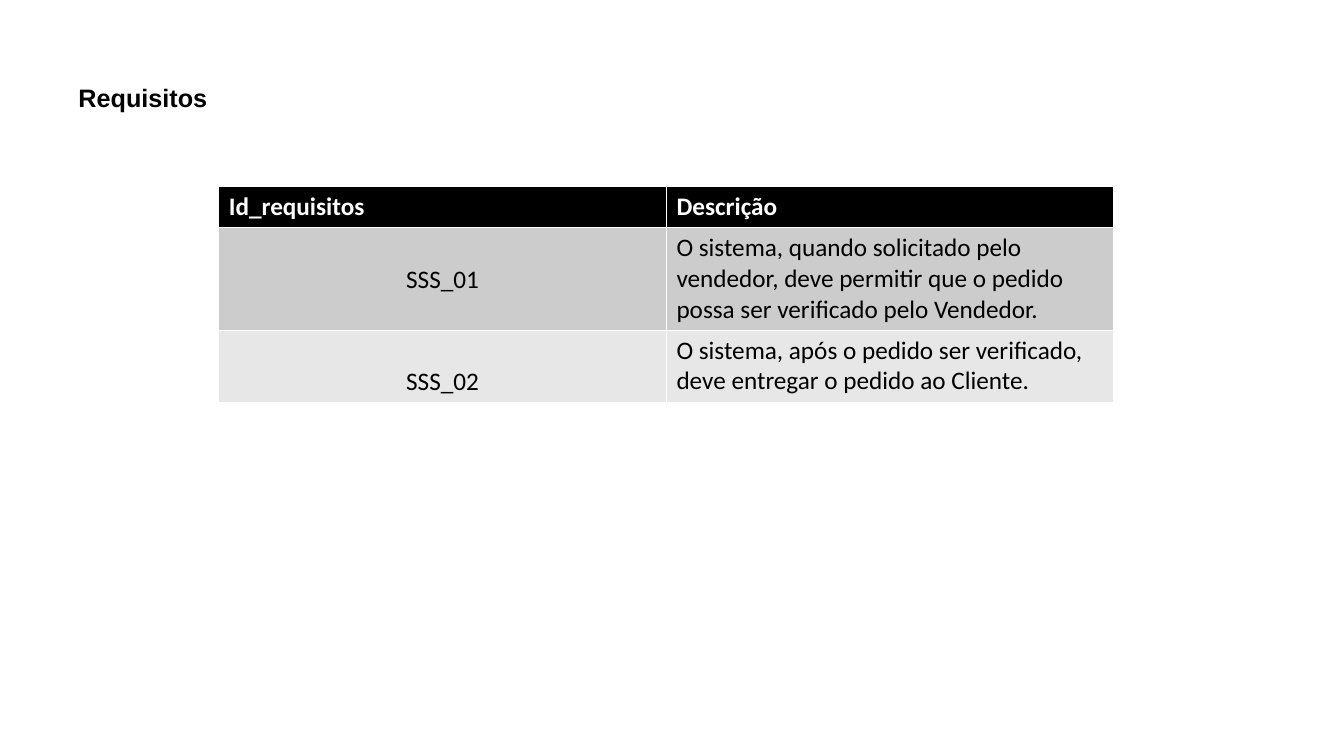
from dataclasses import dataclass

from pptx import Presentation
from pptx import util as u
from pptx.dml import color
from pptx.enum import text

COLORS = {
    "black": "000000",
    "white": "FFFFFF",
    "dark_band": "CCCCCC",
    "light_band": "E7E7E7",
}
FONT_SIZE = 18
COLUMN_WIDTH = 4.44
ID_TOP_MARGIN = 0.36


@dataclass
class RequirementRow:
    identifier: str
    description: str
    height: float
    fill: str
    font_color: str = "black"
    header: bool = False


ROWS = [
    RequirementRow("Id_requisitos", "Descrição", 0.41, "black", "white", True),
    RequirementRow(
        "SSS_01",
        "O sistema, quando solicitado pelo vendedor, deve permitir que o pedido "
        "possa ser verificado pelo Vendedor.",
        1.01,
        "dark_band",
    ),
    RequirementRow(
        "SSS_02",
        "O sistema, após o pedido ser verificado, deve entregar o pedido ao Cliente.",
        0.71,
        "light_band",
    ),
]


def rgb(name: str) -> color.RGBColor:
    return color.RGBColor.from_string(COLORS[name])


def write_text(text_frame, content: str, font_name: str, font_color: str, bold: bool) -> None:
    text_frame.text = content
    font = text_frame.paragraphs[0].runs[0].font
    font.name = font_name
    font.size = u.Pt(FONT_SIZE)
    font.bold = bold
    font.color.rgb = rgb(font_color)


def fill_row(table, index: int, row: RequirementRow) -> None:
    table.rows[index].height = u.Inches(row.height)
    for column, content in enumerate((row.identifier, row.description)):
        cell = table.cell(index, column)
        cell.fill.solid()
        cell.fill.fore_color.rgb = rgb(row.fill)
        write_text(cell.text_frame, content, "Calibri", row.font_color, row.header)
    if not row.header:
        identifier_cell = table.cell(index, 0)
        identifier_cell.margin_top = u.Inches(ID_TOP_MARGIN)
        identifier_cell.text_frame.paragraphs[0].alignment = text.PP_ALIGN.CENTER


def add_requirements(slide) -> None:
    height = sum(row.height for row in ROWS)
    table = slide.shapes.add_table(
        len(ROWS), 2, u.Inches(2.17), u.Inches(1.85),
        u.Inches(2 * COLUMN_WIDTH), u.Inches(height),
    ).table
    for index, row in enumerate(ROWS):
        fill_row(table, index, row)


def add_title(slide) -> None:
    title = slide.shapes.add_textbox(
        u.Inches(0.68), u.Inches(0.77), u.Inches(1.49), u.Inches(0.4)
    )
    title.text_frame.word_wrap = False
    title.text_frame.auto_size = text.MSO_AUTO_SIZE.SHAPE_TO_FIT_TEXT
    write_text(title.text_frame, "Requisitos", "Arial", "black", True)


def main() -> None:
    presentation = Presentation()
    presentation.slide_width = u.Inches(13.33)
    presentation.slide_height = u.Inches(7.5)
    slide = presentation.slides.add_slide(presentation.slide_layouts[6])
    add_requirements(slide)
    add_title(slide)
    presentation.save("out.pptx")


if __name__ == "__main__":
    main()
